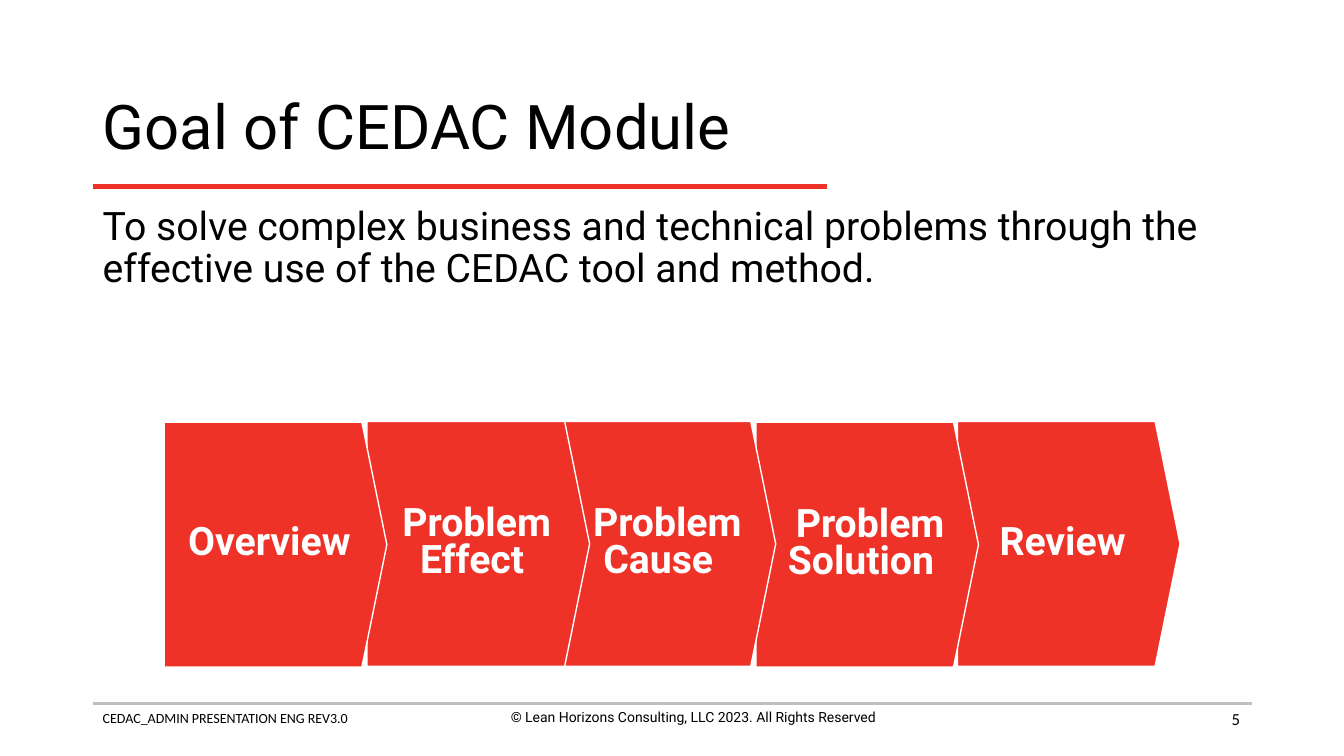
from pptx import Presentation
from pptx.dml.color import RGBColor
from pptx.enum.shapes import MSO_CONNECTOR, MSO_SHAPE
from pptx.enum.text import MSO_ANCHOR, PP_ALIGN
from pptx.oxml.ns import qn
from pptx.util import Cm, Pt
from lxml import etree

LEFT, CENTER, RIGHT = PP_ALIGN.LEFT, PP_ALIGN.CENTER, PP_ALIGN.RIGHT
TOP, MIDDLE = MSO_ANCHOR.TOP, MSO_ANCHOR.MIDDLE
RED, GREY, BLACK, WHITE = "EE3228", "BFBFBF", "000000", "FFFFFF"


def color(hex_code):
    return RGBColor.from_string(hex_code)


def write(frame, text, anchor, paragraph_format, font_format):
    frame.word_wrap = True
    frame.vertical_anchor = anchor
    frame.text = text
    for paragraph in frame.paragraphs:
        for name, value in paragraph_format.items():
            setattr(paragraph, name, value)
        for run in paragraph.runs:
            run.font.color.rgb = color(font_format["color"])
            for name in font_format.keys() - {"color"}:
                setattr(run.font, name, font_format[name])


deck = Presentation()
deck.slide_width, deck.slide_height = Cm(33.87), Cm(19.05)
slide = deck.slides.add_slide(deck.slide_layouts[6])

for right, y, hex_code, width in [(31.55, 17.73, GREY, 2), (20.83, 4.7, RED, 3)]:
    rule = slide.shapes.add_connector(
        MSO_CONNECTOR.STRAIGHT, Cm(2.34), Cm(y), Cm(right), Cm(y))
    rule.line.color.rgb = color(hex_code)
    rule.line.width = Pt(width)
    etree.SubElement(rule._element.spPr, qn("a:effectLst"))

texts = [
    ("CEDAC_ADMIN PRESENTATION ENG REV3.0",
     (2.34, 17.75, 11.58, 0.69), TOP, LEFT, 1.0, 10, "Calibri"),
    ("© Lean Horizons Consulting, LLC 2023. All Rights Reserved",
     (11.68, 17.73, 11.58, 1.12), TOP, CENTER, 1.0, 10, "Roboto"),
    ("Goal of CEDAC Module",
     (2.34, 1.88, 29.21, 2.79), MIDDLE, LEFT, 0.9, 44, "Roboto"),
    ("To solve complex business and technical problems through the\v"
     "effective use of the CEDAC tool and method.",
     (2.34, 5.08, 29.21, 12.09), TOP, LEFT, 0.9, 28, "Roboto"),
    ("5", (23.88, 17.6, 7.62, 1.02), MIDDLE, RIGHT, 1.0, 12, "Calibri"),
]
for text, place, anchor, alignment, spacing, size, typeface in texts:
    box = slide.shapes.add_textbox(*map(Cm, place))
    write(box.text_frame, text, anchor,
          {"alignment": alignment, "line_spacing": spacing},
          {"size": Pt(size), "name": typeface, "color": BLACK})

steps = [
    ("Review", 24.13, 10.62, 0),
    ("Problem\nSolution", 19.05, 10.64, 0.46),
    ("Problem\nCause", 13.94, 10.62, 0.46),
    ("Problem\nEffect", 9.25, 10.62, 0.23),
    ("Overview", 4.14, 10.64, 0),
]
for label, left, top, indent in steps:
    step = slide.shapes.add_shape(
        MSO_SHAPE.PENTAGON, Cm(left), Cm(top), Cm(5.61), Cm(6.17))
    step.adjustments[0] = 0.112
    step.shadow.inherit = False
    step.fill.solid()
    step.fill.fore_color.rgb = color(RED)
    step.line.color.rgb = color(WHITE)
    step.line.width = Pt(1)
    write(step.text_frame, label, MIDDLE,
          {"alignment": CENTER, "line_spacing": 0.8},
          {"size": Pt(28), "name": "Roboto", "bold": True, "color": WHITE})
    if indent:
        first_line = step.text_frame.paragraphs[0]
        first_line._p.get_or_add_pPr().set("marL", str(Cm(indent)))

deck.save("out.pptx")
